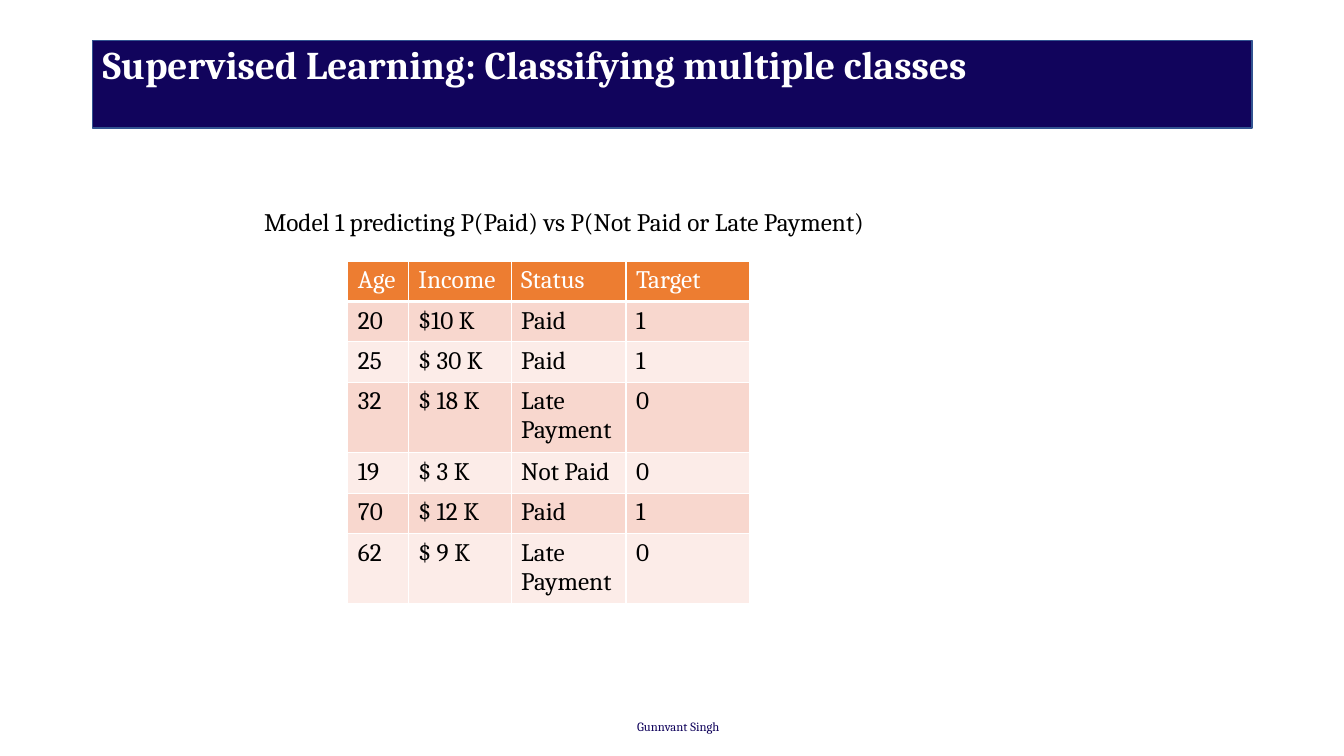
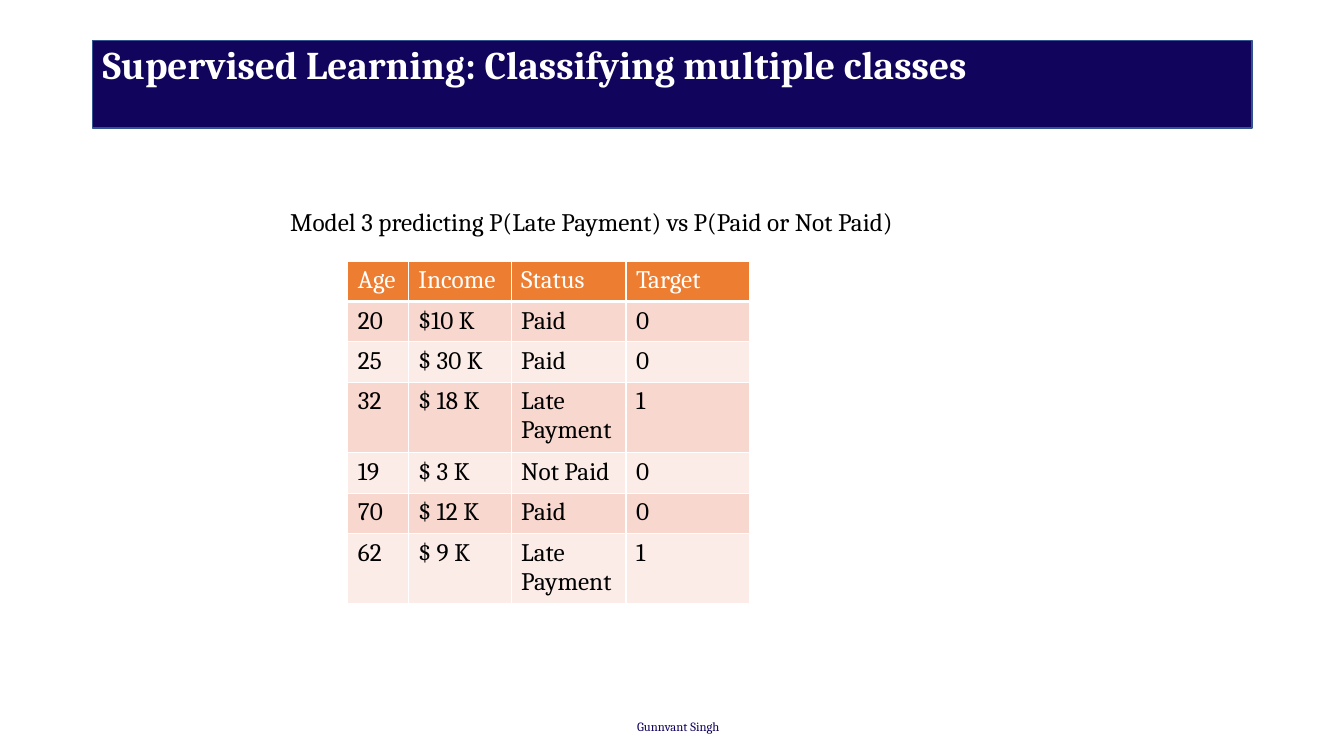
"""Build two slides on splitting a multi-class problem into binary models."""
from dataclasses import dataclass

from lxml.etree import SubElement as Sub
from pptx import Presentation as Deck
from pptx.dml.color import RGBColor as Rgb
from pptx.enum.shapes import MSO_SHAPE as Kind
from pptx.enum.text import MSO_ANCHOR as Anchor
from pptx.oxml.ns import qn
from pptx.slide import Slide
from pptx.table import _Cell as Cell
from pptx.util import Inches, Pt

FONT = "Cambria"
HUES = {
    "navy": "11045C",
    "edge": "325491",
    "head": "ED7D31",
    "odd": "F8D7CE",
    "even": "FCECE8",
    "white": "FFFFFF",
    "black": "000000",
}
TITLE = "Supervised Learning: Classifying multiple classes"
HEADS = ("Age", "Income", "Status", "Target")
LOANS = (
    ("20", "$10 K", "Paid"),
    ("25", "$ 30 K", "Paid"),
    ("32", "$ 18 K", "Late Payment"),
    ("19", "$ 3 K", "Not Paid"),
    ("70", "$ 12 K", "Paid"),
    ("62", "$ 9 K", "Late Payment"),
)
COLS = (0.6, 1.02, 1.14, 1.23)
ROW, LAST = 0.36, 0.58


@dataclass(frozen=True)
class Box:
    """Place of an element, in inches."""
    left: float
    top: float
    width: float
    height: float

    def area(self) -> tuple[Inches, Inches, Inches, Inches]:
        """Give the place as lengths."""
        return Inches(self.left), Inches(self.top), Inches(self.width), Inches(self.height)


@dataclass(frozen=True)
class Style:
    """Look of a paragraph."""
    size: int
    hue: str
    bold: bool = False


@dataclass(frozen=True)
class Model:
    """One binary model: its caption and the status it predicts."""
    left: float
    text: str
    status: str


BAND = Box(0.92, 0.4, 11.5, 0.87)
NAME = Box(0.92, 0.4, 11.5, 1.45)
FOOT = Box(6.22, 7.08, 1.08, 0.25)
GRID = Box(3.45, 2.59, sum(COLS), ROW * len(LOANS) + LAST)
MODELS = (
    Model(2.52, "Model 1 predicting P(Paid) vs P(Not Paid or Late Payment)", "Paid"),
    Model(2.78, "Model 3 predicting P(Late Payment) vs P(Paid or Not Paid)", "Late Payment"),
)


def tint(key: str) -> Rgb:
    """Look up a colour."""
    return Rgb.from_string(HUES[key])


def write(frame, text: str, style: Style) -> None:
    """Put one styled paragraph in a text frame."""
    para = frame.paragraphs[0]
    para.text = text
    font = para.font
    font.name, font.size, font.bold = FONT, Pt(style.size), style.bold
    font.color.rgb = tint(style.hue)


def label(slide: Slide, box: Box, text: str, style: Style, wrap: bool = True):
    """Add a text box and return its frame."""
    frame = slide.shapes.add_textbox(*box.area()).text_frame
    frame.word_wrap = wrap
    frame.vertical_anchor = Anchor.TOP
    write(frame, text, style)
    return frame


def base(slide: Slide) -> None:
    """Draw the band, footer and title that all slides share."""
    band = slide.shapes.add_shape(Kind.RECTANGLE, *BAND.area())
    band.shadow.inherit = False
    band.fill.solid()
    band.fill.fore_color.rgb = tint("navy")
    band.line.color.rgb = tint("edge")
    band.line.width = Pt(1)
    label(slide, FOOT, "Gunnvant Singh", Style(9, "navy"), wrap=False)
    title = label(slide, NAME, TITLE, Style(28, "white", True))
    title.paragraphs[0].line_spacing = 0.9


def rule(cell: Cell, base_pt: int) -> None:
    """Draw white borders around a cell."""
    props = cell._tc.get_or_add_tcPr()
    for side, width in (("L", 1), ("R", 1), ("T", 1), ("B", base_pt)):
        line = Sub(props, qn(f"a:ln{side}"), w=str(Pt(width)))
        Sub(Sub(line, qn("a:solidFill")), qn("a:srgbClr"), val=HUES["white"])


def grid(slide: Slide, status: str) -> None:
    """Add the loan table, with target 1 where the status matches."""
    rows = [HEADS] + [(*loan, str(int(loan[-1] == status))) for loan in LOANS]
    table = slide.shapes.add_table(len(rows), len(COLS), *GRID.area()).table
    for col, width in zip(table.columns, COLS):
        col.width = Inches(width)
    for num, texts in enumerate(rows):
        table.rows[num].height = Inches(LAST if num == len(LOANS) else ROW)
        head = num == 0
        fill = "head" if head else "odd" if num % 2 else "even"
        for cell, text in zip(table.rows[num].cells, texts):
            rule(cell, 3 if head else 1)
            cell.fill.solid()
            cell.fill.fore_color.rgb = tint(fill)
            write(cell.text_frame, text, Style(18, "white" if head else "black"))


def main() -> None:
    """Build and save the deck."""
    deck = Deck()
    deck.slide_width, deck.slide_height = Inches(13.33), Inches(7.5)
    for model in MODELS:
        slide = deck.slides.add_slide(deck.slide_layouts[6])
        base(slide)
        grid(slide, model.status)
        label(slide, Box(model.left, 2, 6.61, 0.4), model.text, Style(18, "black"))
    deck.save("out.pptx")


main()
